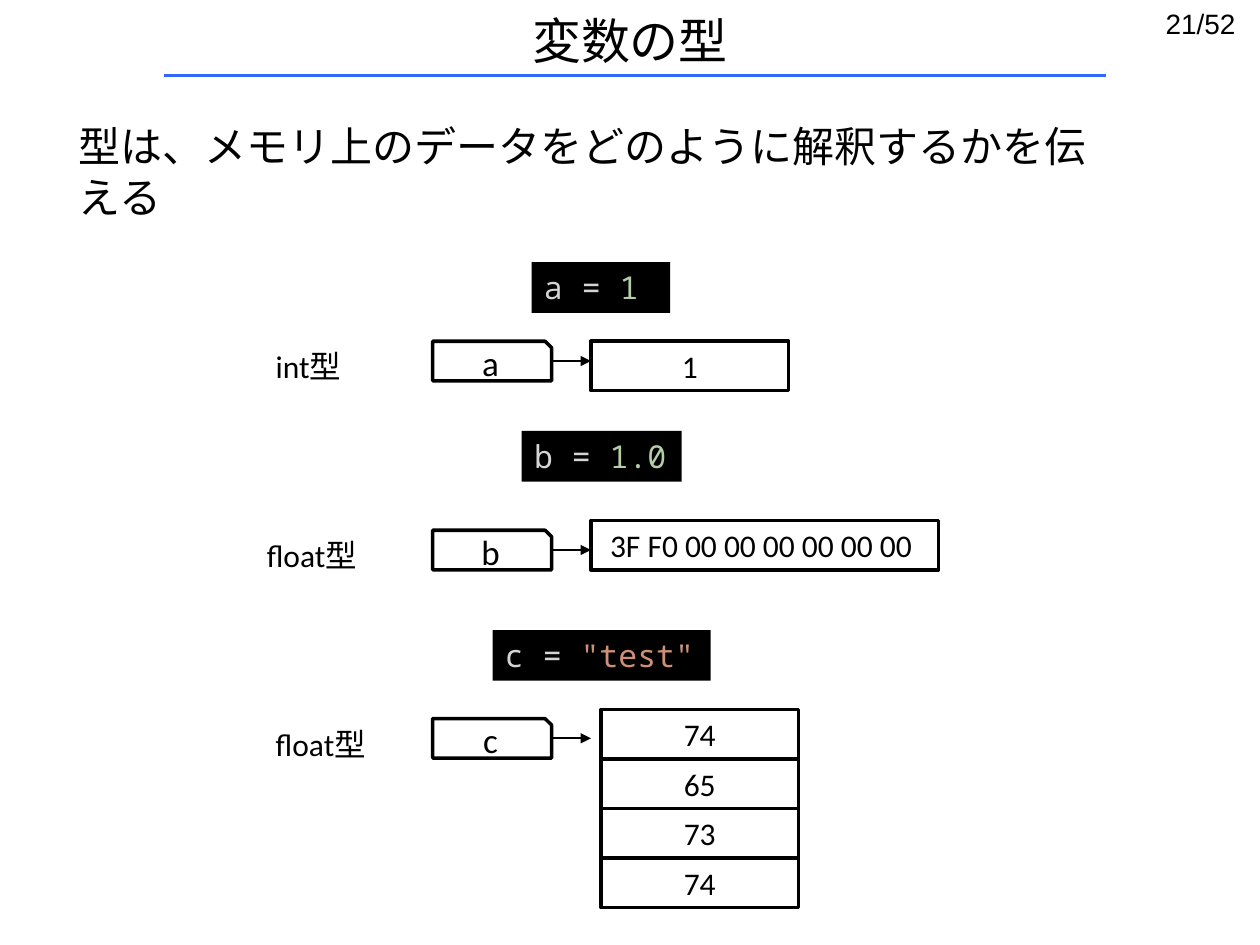
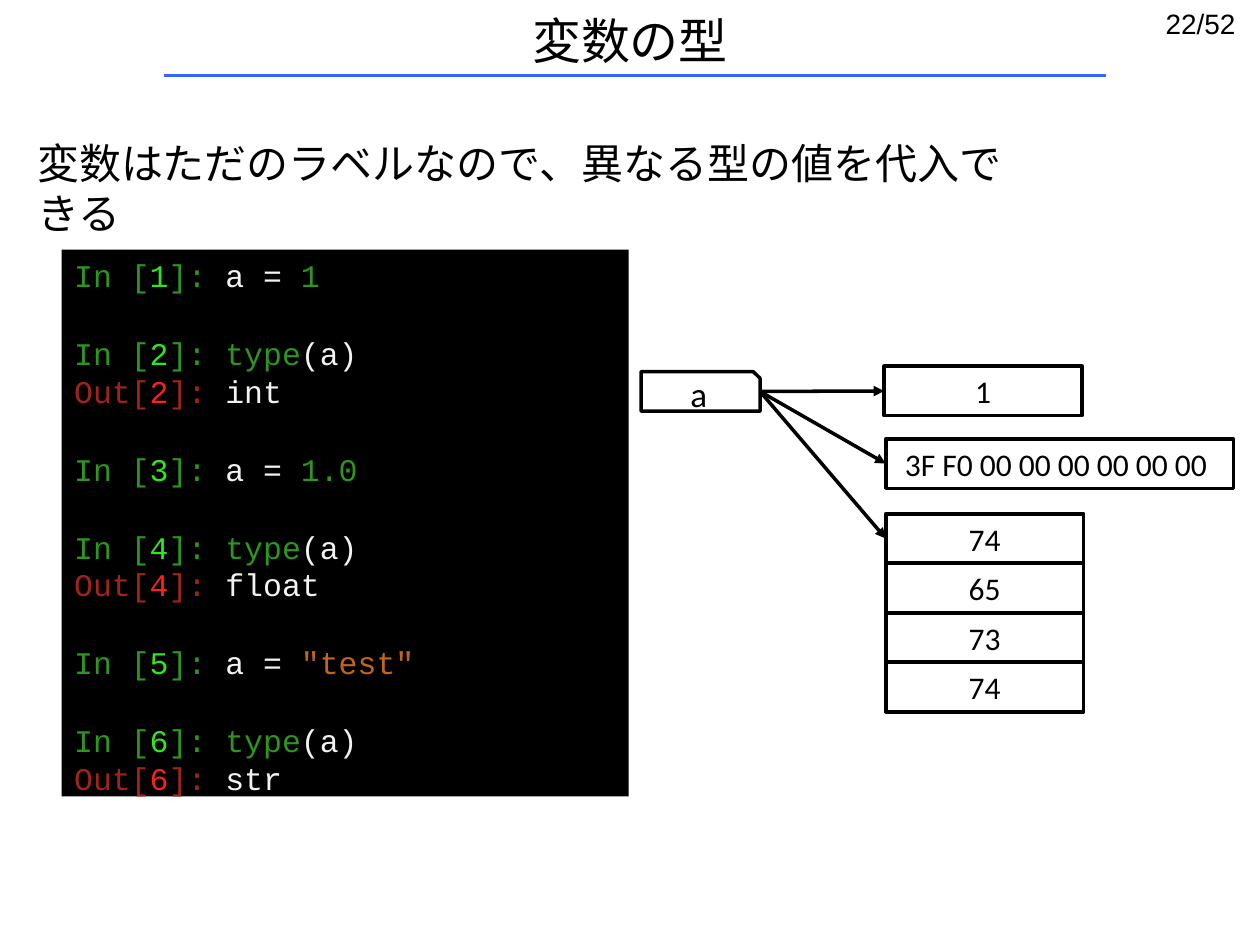
"""Builds two slides on variable types in Python."""
from pptx import Presentation as Deck
from pptx.dml.color import RGBColor as Rgb
from pptx.enum.shapes import MSO_CONNECTOR as Conn, MSO_SHAPE as Kind
from pptx.enum.text import MSO_ANCHOR as Anchor, PP_ALIGN as Align
from pptx.oxml.ns import qn
from pptx.util import Pt
from lxml.etree import SubElement as Sub


class Theme:
    ink, rule, black = "000000", "3366FF", "000000"
    plain, num, word = "D4D4D4", "B5CEA8", "CE9178"
    green, lime, white = "2D961E", "2FE71A", "F2F2F2"
    brown, red, rust = "A1241A", "FC2118", "C1651C"
    body, page, mono, term = "Calibri", "Arial", "Noto Sans Mono", "Courier New"
    title, lead, tag, text, foot = 28, 24, 20, 18, 16
    thick, thin = 2, 1


def box(slide, spot, paras, size=Theme.text, font=Theme.body,
        kind=None, fill=None, mid=False, gap=0):
    spot = [Pt(v) for v in spot]
    if kind is None:
        item = slide.shapes.add_textbox(*spot)
    else:
        item = slide.shapes.add_shape(kind, *spot)
        item.shadow.inherit = False
        if fill:
            item.fill.solid()
            item.fill.fore_color.rgb = Rgb.from_string(fill)
            item.line.fill.background()
        else:
            item.fill.background()
            item.line.color.rgb = Rgb.from_string(Theme.ink)
            item.line.width = Pt(Theme.thick)
    frame = item.text_frame
    frame.word_wrap = True
    frame.vertical_anchor = Anchor.MIDDLE if mid else Anchor.TOP
    for i, runs in enumerate(paras):
        para = frame.add_paragraph() if i else frame.paragraphs[0]
        para.alignment = Align.CENTER if mid else Align.LEFT
        if i and runs[0][0].startswith("In"):
            para.space_before = Pt(gap)
        for text, tint in runs:
            run = para.add_run()
            run.text = text
            run.font.size = Pt(size)
            run.font.name = font
            run.font.color.rgb = Rgb.from_string(tint)
    return item


def link(slide, ends, tint=Theme.ink, width=Theme.thick, head=True):
    line = slide.shapes.add_connector(Conn.STRAIGHT, *[Pt(v) for v in ends])
    line.line.color.rgb = Rgb.from_string(tint)
    line.line.width = Pt(width)
    if head:
        Sub(line.line._get_or_add_ln(), qn("a:tailEnd"), type="triangle")
    Sub(line._element.spPr, qn("a:effectLst"))
    return line


T = Theme
deck = Deck()
deck.slide_width, deck.slide_height = Pt(720), Pt(540)

cell_w, wide_w, cell_h, step = 113, 198.7, 28.3, 28.3
tag_w, tag_h = 68, 22.6
bits = "3F F0 00 00 00 00 00 00 "
chars = ["74", "65", "73", "74"]

pages = [
    ("21/52", (38, 65.5, 603.4, 36),
     "型は、メモリ上のデータをどのように解釈するかを伝える"),
    ("22/52", (14.4, 75, 579, 36),
     "変数はただのラベルなので、異なる型の値を代入できる"),
]
slides = []
for mark, spot, lead in pages:
    slide = deck.slides.add_slide(deck.slide_layouts[6])
    link(slide, (93.6, 43.2, 632.2, 43.2), T.rule, head=False)
    box(slide, (659, 0, 63.4, 26.6), [[(mark, T.ink)]], T.foot, T.page)
    box(slide, (0, 2.9, 720, 40.3), [[("変数の型", T.ink)]], T.title, mid=True)
    box(slide, spot, [[(lead, T.ink)]], T.lead)
    slides.append(slide)
first, second = slides

rows = [
    ("a", "1", T.num, (303.8, 195, 79.2), "int型", (150.5, 52.6), 195,
     (337.7, 195, cell_w), ["1"]),
    ("b", "1.0", T.num, (298.1, 246.2, 91.5), "float型", (145.4, 67), 303,
     (337.7, 297.4, wide_w), [bits]),
    ("c", '"test"', T.word, (281.5, 360, 124.6), "float型", (150.5, 67), 410.6,
     (343.4, 405.4, cell_w), chars),
]
for name, value, tint, code, kind, note, top, cell, texts in rows:
    x, y, wide = code
    if name == "a":
        y = 149.8
    box(first, (x, y, wide, 29), [[(f"{name} = ", T.plain), (value, tint)]],
        font=T.mono, kind=Kind.RECTANGLE, fill=T.black)
    box(first, (note[0], top, note[1], 29), [[(kind, T.ink)]])
    tag = box(first, (247.2, top, tag_w, tag_h), [[(name, T.ink)]], T.tag,
              kind=Kind.SNIP_1_RECTANGLE, mid=True)
    x, y, wide = cell
    for i, text in enumerate(texts):
        box(first, (x, y + i * step, wide, cell_h), [[(text, T.ink)]],
            kind=Kind.RECTANGLE, mid=True)
    at = top + tag_h / 2
    link(first, (315.2, at, 337.7, at), width=T.thin).begin_connect(tag, 3)

steps = [("1", T.green, "int"), ("1.0", T.green, "float"),
         ('"test"', T.rust, "str")]
lines = []
for i, (value, tint, kind) in enumerate(steps):
    put, ask = str(2 * i + 1), str(2 * i + 2)
    lines += [
        [("In [", T.green), (put, T.lime), ("]: ", T.green),
         ("a = ", T.white), (value, tint)],
        [("In [", T.green), (ask, T.lime), ("]: type", T.green),
         ("(a)", T.white)],
        [("Out[", T.brown), (ask, T.red), ("]: ", T.brown), (kind, T.white)],
    ]
box(second, (35.3, 142.6, 324, 312.5), lines, font=T.term,
    kind=Kind.RECTANGLE, fill=T.black, gap=23)

tag = box(second, (366.3, 212.4, tag_w, tag_h), [[("a", T.ink)]], T.tag,
          kind=Kind.SNIP_1_RECTANGLE, mid=True)
stacks = [(505.3, 209.3, cell_w, ["1"]), (506.2, 250.8, wide_w, [bits]),
          (506.2, 293.6, cell_w, chars)]
for x, y, wide, texts in stacks:
    cells = [box(second, (x, y + i * step, wide, cell_h), [[(text, T.ink)]],
                 kind=Kind.RECTANGLE, mid=True)
             for i, text in enumerate(texts)]
    line = link(second, (434.3, 223.7, x, y + cell_h / 2))
    line.begin_connect(tag, 3)
    line.end_connect(cells[0], 1)

deck.save("out.pptx")
